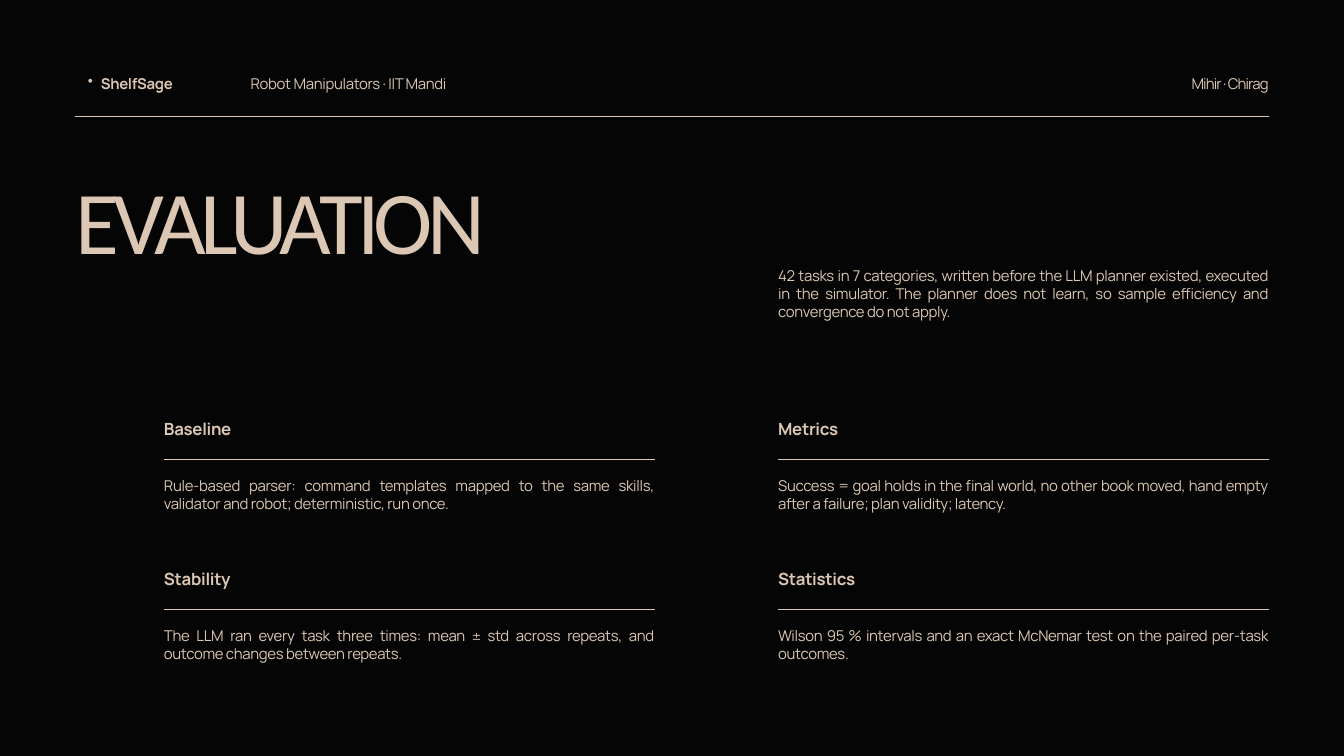
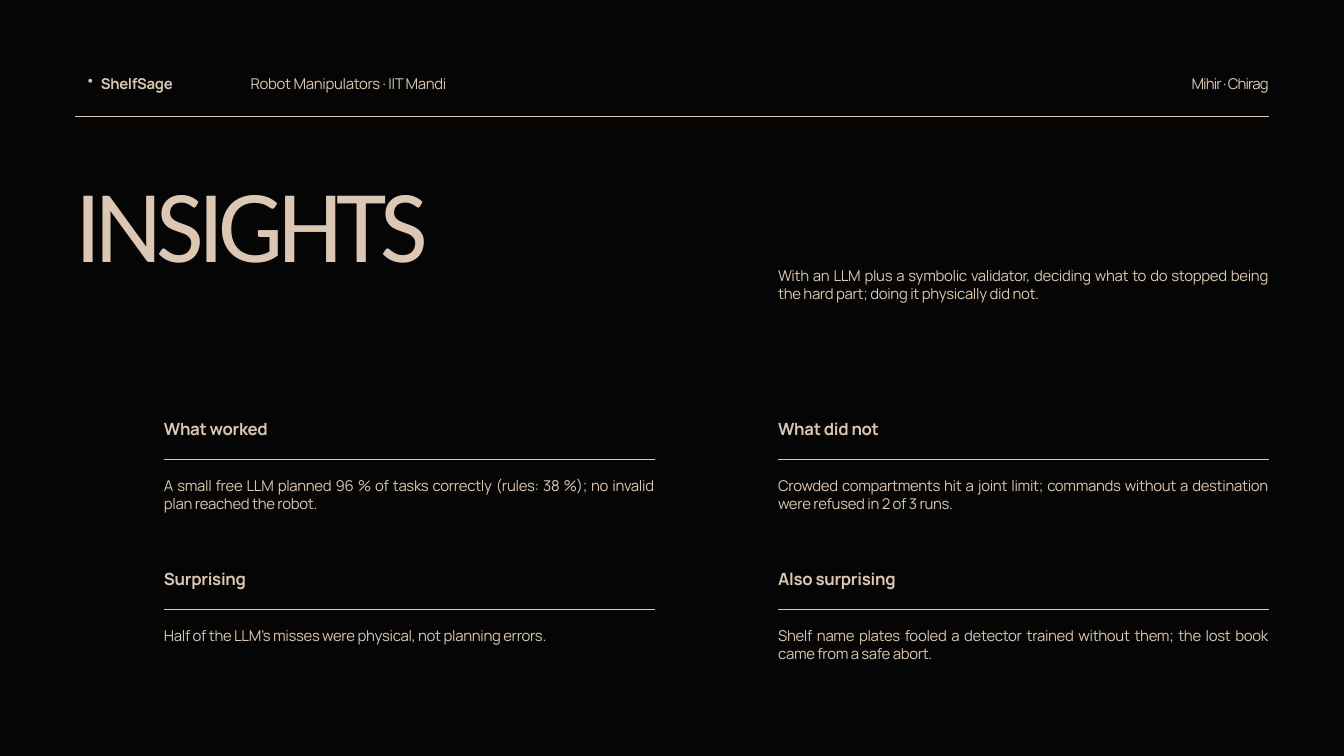
"""Build the evaluation and insights slides on one shared dark layout."""
from lxml import etree
from pptx import Presentation
from pptx.dml.color import RGBColor
from pptx.enum.shapes import MSO_CONNECTOR
from pptx.enum.text import MSO_AUTO_SIZE, PP_ALIGN
from pptx.oxml.ns import qn
from pptx.util import Inches, Pt

DARK = RGBColor(0x05, 0x05, 0x05)
SAND = RGBColor(0xDB, 0xC7, 0xB3)
LEFT, RIGHT, FULL = PP_ALIGN.LEFT, PP_ALIGN.RIGHT, PP_ALIGN.JUSTIFY
GROW = MSO_AUTO_SIZE.SHAPE_TO_FIT_TEXT
STRAIGHT = MSO_CONNECTOR.STRAIGHT

COLS, ROWS = 20, 11.25
EDGE, END = 1.12, 18.88
CARD_W = 7.3
CARD_X = (2.44, END - CARD_W)
CARD_Y = (6.28, 8.52)
HEAD_Y = 1.15

SLIDES = [
    ("EVALUATION", 95.9,
     "42 tasks in 7 categories, written before the LLM planner existed, "
     "executed in the simulator. The planner does not learn, so sample "
     "efficiency and convergence do not apply.",
     [("Baseline", "Rule-based parser: command templates mapped to the same "
       "skills, validator and robot; deterministic, run once."),
      ("Metrics", "Success = goal holds in the final world, no other book "
       "moved, hand empty after a failure; plan validity; latency."),
      ("Stability", "The LLM ran every task three times: mean ± std across "
       "repeats, and outcome changes between repeats."),
      ("Statistics", "Wilson 95 % intervals and an exact McNemar test on the "
       "paired per-task outcomes.")]),
    ("INSIGHTS", 110.7,
     "With an LLM plus a symbolic validator, deciding what to do stopped "
     "being the hard part; doing it physically did not.",
     [("What worked", "A small free LLM planned 96 % of tasks correctly "
       "(rules: 38 %); no invalid plan reached the robot."),
      ("What did not", "Crowded compartments hit a joint limit; commands "
       "without a destination were refused in 2 of 3 runs."),
      ("Surprising", "Half of the LLM's misses were physical, not planning "
       "errors."),
      ("Also surprising", "Shelf name plates fooled a detector trained "
       "without them; the lost book came from a safe abort.")]),
]


class Deck:
    """Hold the deck's style and current slide, measured in columns and rows."""

    def __init__(self):
        self.prs = Presentation()
        self.prs.slide_width = Inches(COLS)
        self.prs.slide_height = Inches(ROWS)
        self.col = self.prs.slide_width / COLS
        self.row = self.prs.slide_height / ROWS

    def spot(self, x, y):
        return round(x * self.col), round(y * self.row)

    def page(self):
        self.slide = self.prs.slides.add_slide(self.prs.slide_layouts[6])
        fill = self.slide.background.fill
        fill.solid()
        fill.fore_color.rgb = DARK

    def text(self, words, x, y, w, h, size=16, lead=1.0, font="Manrope",
             bold=False, align=LEFT, track=-0.3, dot=False):
        box = self.slide.shapes.add_textbox(*self.spot(x, y), *self.spot(w, h))
        frame = box.text_frame
        frame.word_wrap = True
        frame.auto_size = GROW
        frame.margin_left = frame.margin_right = 0
        frame.margin_top = frame.margin_bottom = 0
        frame.text = words
        para = frame.paragraphs[0]
        para.alignment = align
        para.line_spacing = Pt(round(size * lead, 1))
        if dot:
            self.bullet(para)
        run = para.runs[0]
        run.font.name, run.font.size, run.font.bold = font, Pt(size), bold
        run.font.color.rgb = SAND
        run._r.get_or_add_rPr().set("spc", str(round(track * 100)))

    def bullet(self, para):
        para.level = 1
        props = para._p.get_or_add_pPr()
        props.set("marL", str(Inches(0.38)))
        props.set("indent", str(Inches(-0.19)))
        etree.SubElement(props, qn("a:buChar")).set("char", "•")

    def rule(self, x, y, end):
        line = self.slide.shapes.add_connector(
            STRAIGHT, *self.spot(x, y), *self.spot(end, y))
        line.line.color.rgb = SAND
        line.line.width = Pt(0.75)
        etree.SubElement(line._element.spPr, qn("a:effectLst"))

    def header(self):
        self.rule(EDGE, 1.73, END)
        self.text("Mihir · Chirag", END - 3.11, HEAD_Y, 3.11, 0.24,
                  align=RIGHT, track=-0.9)
        self.text("ShelfSage", EDGE, HEAD_Y, 2.24, 0.24, bold=True, dot=True)
        self.text("Robot Manipulators · IIT Mandi", 3.73, HEAD_Y, 3.04, 0.24)

    def title(self, words, size):
        self.text(words, EDGE, 3.01, 9.59, 2.56, size=size, lead=0.78,
                  font="Calibri", track=-6.1)

    def body(self, words, x, y, h):
        self.text(words, x, y, CARD_W, h, lead=1.2, align=FULL)

    def card(self, name, words, x, y):
        self.body(words, x, y + 0.81, 0.8)
        self.text(name, x, y, CARD_W, 0.27, size=18, bold=True)
        self.rule(x, y + 0.55, x + CARD_W)


def main():
    deck = Deck()
    for name, size, intro, cards in SLIDES:
        deck.page()
        deck.title(name, size)
        deck.body(intro, CARD_X[1], 3.97, 1.06)
        deck.header()
        for i, (head, words) in enumerate(cards):
            deck.card(head, words, CARD_X[i % 2], CARD_Y[i // 2])
    deck.prs.save("out.pptx")


if __name__ == "__main__":
    main()
